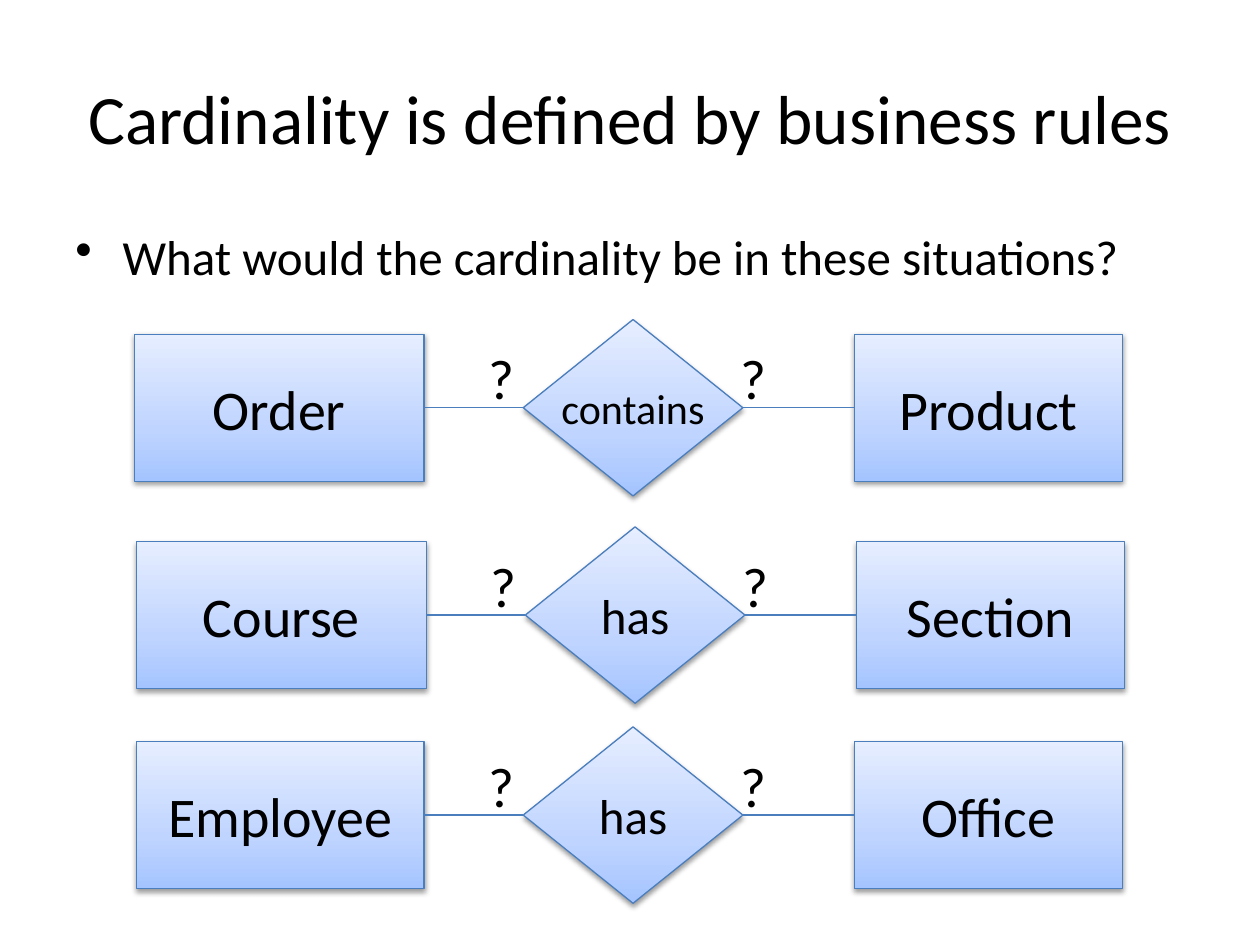
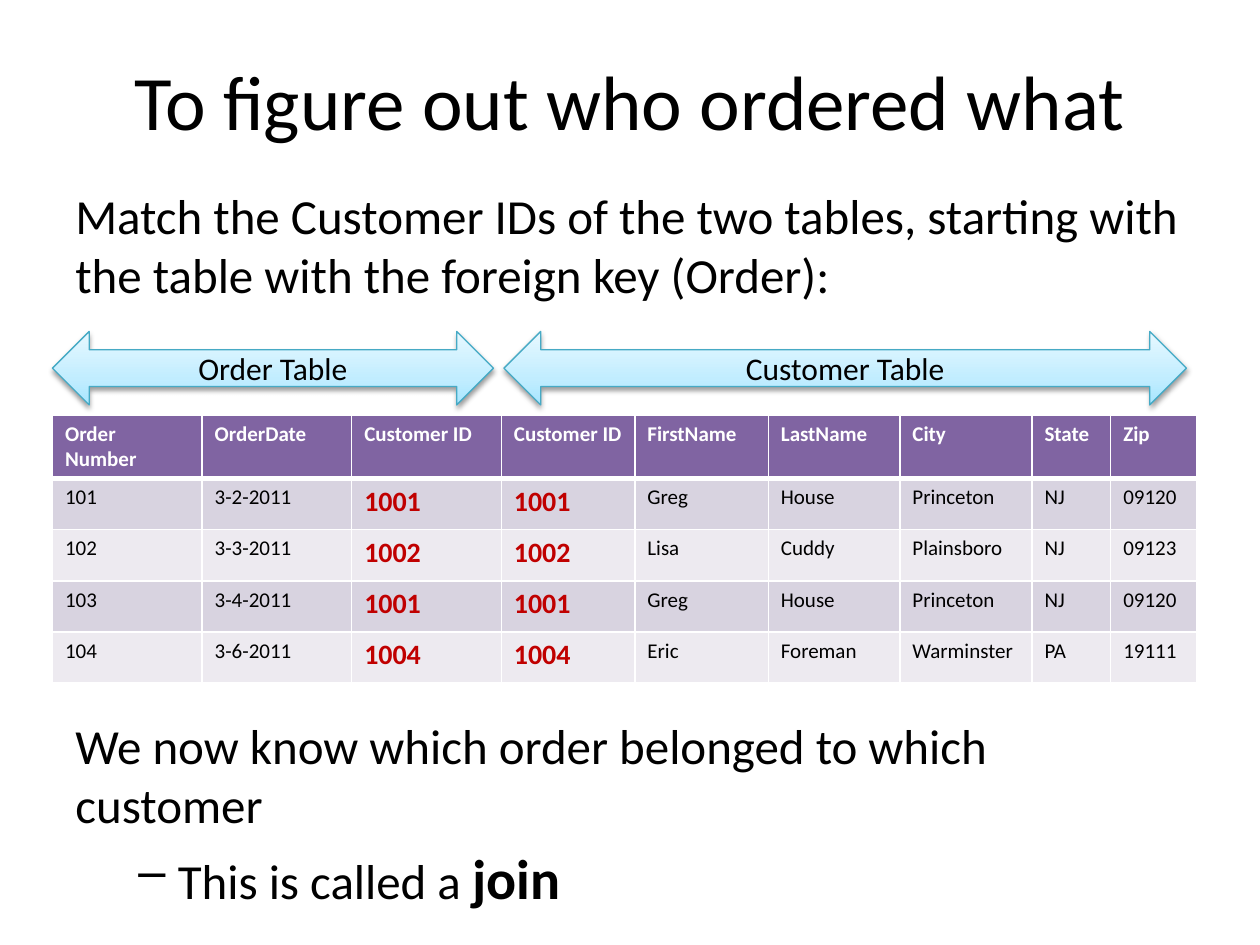
from dataclasses import dataclass

from pptx import Presentation
from pptx import util as u
from pptx.dml.color import RGBColor
from pptx.enum import shapes, text
from pptx.oxml import parse_xml
from pptx.oxml.ns import nsdecls, qn

Pt = u.Pt
Kind = shapes.MSO_SHAPE


@dataclass(frozen=True)
class Theme:
    font: str = "Calibri"
    ink: str = "000000"
    paper: str = "FFFFFF"
    red: str = "C00000"
    head: str = "8064A2"
    bands: tuple = ("D8D3E0", "EDEAF0")
    blue: tuple = ("4B7EBC", "A4C4FF", "BFD4FF", "E6EEFF")
    aqua: tuple = ("46AAC5", "A7E6FF", "C1EDFF", "E7F8FF")
    big: float = 44
    title: float = 39.6
    name: float = 32
    body: float = 28
    verb: float = 24
    label: float = 18
    key: float = 16
    cell: float = 12
    line: float = 0.75


class Deck:
    def __init__(self, theme):
        self.theme = theme
        self.file = Presentation()
        self.file.slide_width, self.file.slide_height = Pt(720), Pt(540)
        self.slide = None

    def page(self, title, top, size):
        self.slide = self.file.slides.add_slide(self.file.slide_layouts[6])
        box = self.text(title, 36, top, 648, 90, size)
        box.text_frame.vertical_anchor = text.MSO_ANCHOR.MIDDLE
        box.text_frame.paragraphs[0].alignment = text.PP_ALIGN.CENTER

    def style(self, para, size, color=None, bold=False):
        for run in para.runs:
            font = run.font
            font.name, font.size, font.bold = self.theme.font, Pt(size), bold
            font.color.rgb = RGBColor.from_string(color or self.theme.ink)

    def text(self, words, left, top, width, height, size):
        box = self.slide.shapes.add_textbox(Pt(left), Pt(top), Pt(width), Pt(height))
        frame = box.text_frame
        frame.word_wrap = True
        frame.text = words
        self.style(frame.paragraphs[0], size)
        return box

    def bullet(self, para, mark, left, hang):
        props = para._p.get_or_add_pPr()
        props.set("marL", str(Pt(left)))
        props.set("indent", str(-Pt(hang)))
        props.append(parse_xml(f'<a:buChar {nsdecls("a")} char="{mark}"/>'))

    def shape(self, kind, words, left, top, width, height, size, tone, wrap=True):
        item = self.slide.shapes.add_shape(kind, Pt(left), Pt(top), Pt(width), Pt(height))
        edge, *stops = tone
        item.line.color.rgb = RGBColor.from_string(edge)
        item.line.width = Pt(self.theme.line)
        item.shadow.inherit = False
        props = item._element.spPr
        marks = "".join(
            f'<a:gs pos="{pos}"><a:srgbClr val="{color}"/></a:gs>'
            for pos, color in zip((0, 35000, 100000), stops))
        props.find(qn("a:ln")).addprevious(parse_xml(
            f'<a:gradFill {nsdecls("a")} rotWithShape="1"><a:gsLst>{marks}</a:gsLst>'
            '<a:lin ang="16200000" scaled="0"/></a:gradFill>'))
        props.find(qn("a:effectLst")).append(parse_xml(
            f'<a:outerShdw {nsdecls("a")} blurRad="{Pt(3.1)}" dist="{Pt(1.6)}" dir="5400000"'
            ' rotWithShape="0"><a:srgbClr val="000000"><a:alpha val="38000"/>'
            '</a:srgbClr></a:outerShdw>'))
        frame = item.text_frame
        frame.word_wrap = wrap
        frame.text = words
        frame.vertical_anchor = text.MSO_ANCHOR.MIDDLE
        frame.paragraphs[0].alignment = text.PP_ALIGN.CENTER
        self.style(frame.paragraphs[0], size)
        return item

    def join(self, start, end):
        line = self.slide.shapes.add_connector(shapes.MSO_CONNECTOR.STRAIGHT, 0, 0, 0, 0)
        line.begin_connect(start, 1)
        line.end_connect(end, 3)
        line.line.color.rgb = RGBColor.from_string(self.theme.blue[0])
        line.line.width = Pt(self.theme.line)
        line._element.spPr.append(parse_xml(f'<a:effectLst {nsdecls("a")}/>'))

    def table(self, rows, left, top, widths, heights, keys):
        look = self.theme
        grid = self.slide.shapes.add_table(
            len(rows), len(widths), Pt(left), Pt(top), Pt(sum(widths)), Pt(sum(heights))).table
        for col, width in zip(grid.columns, widths):
            col.width = Pt(width)
        for r, (row, height) in enumerate(zip(rows, heights)):
            grid.rows[r].height = Pt(height)
            for c, words in enumerate(row):
                cell = grid.cell(r, c)
                cell.text = words
                self.border(cell, {"L": 1, "R": 1, "T": 3 if r == 1 else 1, "B": 1 if r else 3})
                cell.fill.solid()
                fill = look.bands[(r - 1) % 2] if r else look.head
                cell.fill.fore_color.rgb = RGBColor.from_string(fill)
                para = cell.text_frame.paragraphs[0]
                if r == 0:
                    self.style(para, look.cell, look.paper, True)
                elif c in keys:
                    self.style(para, look.key, look.red, True)
                else:
                    self.style(para, look.cell)

    def border(self, cell, sides):
        props = cell._tc.get_or_add_tcPr()
        for side, width in sides.items():
            props.append(parse_xml(
                f'<a:ln{side} {nsdecls("a")} w="{Pt(width)}"><a:solidFill>'
                f'<a:srgbClr val="{self.theme.paper}"/></a:solidFill></a:ln{side}>'))


def rules(deck):
    look = deck.theme
    deck.page("Cardinality is defined by business rules", 21.6, look.title)
    ask = deck.text("What would the cardinality be in these situations?",
                    36, 126, 648, 45, look.body)
    deck.bullet(ask.text_frame.paragraphs[0], "•", 27, 27)
    links = (
        ("Order", "contains", "Product", look.verb, 76.8, 0, 233),
        ("Course", "has", "Section", look.body, 78, 1.2, 351.5),
        ("Employee", "has", "Office", look.body, 78, 0, 465.8),
    )
    for one, verb, two, size, left, shift, mid in links:
        top = mid - 42
        first = deck.shape(Kind.RECTANGLE, one, left, top, 242.4 + shift - left, 84,
                           look.name, look.blue)
        tie = deck.shape(Kind.DIAMOND, verb, 299 + shift, mid - 50.4, 125.5, 100.8,
                         size, look.blue, False)
        last = deck.shape(Kind.RECTANGLE, two, 488.2 + shift, top, 153.4, 84,
                          look.name, look.blue)
        deck.join(tie, first)
        deck.join(last, tie)
        for spot in (272, 416):
            deck.text("?", spot + shift, mid - 40, 42, 46, look.name)


def match(deck):
    look = deck.theme
    deck.page("To figure out who ordered what", 12.2, look.big)
    deck.text("Match the Customer IDs of the two tables, starting with "
              "the table with the foreign key (Order):", 36, 102.6, 648, 78, look.body)
    rows = (
        ("Order Number", "OrderDate", "Customer ID", "Customer ID", "FirstName",
         "LastName", "City", "State", "Zip"),
        ("101", "3-2-2011", "1001", "1001", "Greg", "House", "Princeton", "NJ", "09120"),
        ("102", "3-3-2011", "1002", "1002", "Lisa", "Cuddy", "Plainsboro", "NJ", "09123"),
        ("103", "3-4-2011", "1001", "1001", "Greg", "House", "Princeton", "NJ", "09120"),
        ("104", "3-6-2011", "1004", "1004", "Eric", "Foreman", "Warminster", "PA", "19111"),
    )
    widths = [85.5] * 3 + [76.3] * 2 + [75.2, 75.5, 45, 49]
    deck.table(rows, 30, 237, widths, [36.5] + [29.2] * 4, (2, 3))
    for words, left, width in (("Order Table", 30, 252), ("Customer Table", 288, 390)):
        deck.shape(Kind.LEFT_RIGHT_ARROW, words, left, 189.4, width, 42, look.label, look.aqua)
    end = deck.text("We now know which order belonged to which customer",
                    36, 405.6, 630, 122, look.body).text_frame
    para = end.add_paragraph()
    deck.bullet(para, "–", 58.5, 22.5)
    para.space_before = Pt(5.6)
    for words in ("This is called a ", "join"):
        para.add_run().text = words
    deck.style(para, look.body)
    para.runs[1].font.size = Pt(look.name)
    para.runs[1].font.bold = True


def main():
    deck = Deck(Theme())
    rules(deck)
    match(deck)
    deck.file.save("out.pptx")


if __name__ == "__main__":
    main()
